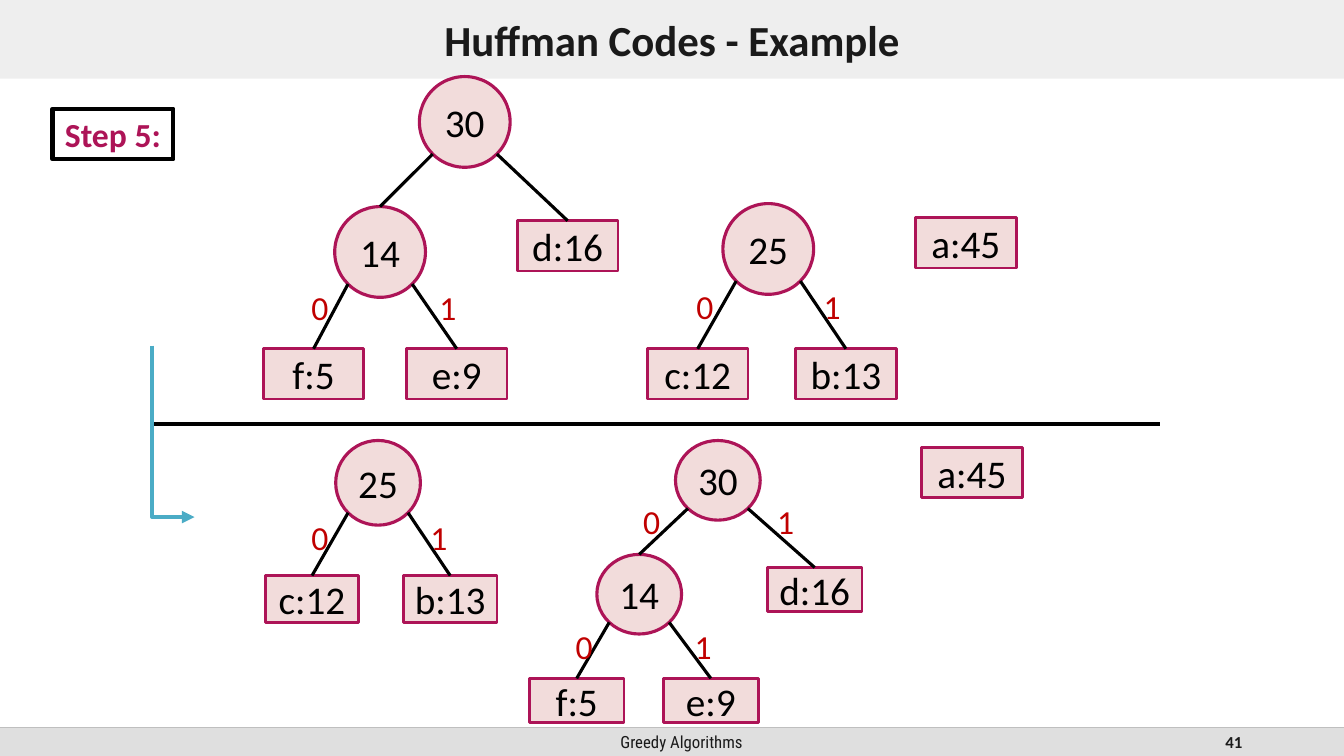
from dataclasses import dataclass
from math import sqrt

from lxml.etree import SubElement
from pptx import Presentation
from pptx.dml.color import RGBColor
from pptx.enum.shapes import MSO_CONNECTOR, MSO_SHAPE
from pptx.enum.text import MSO_ANCHOR, MSO_AUTO_SIZE, PP_ALIGN
from pptx.oxml.ns import qn
from pptx.util import Inches, Pt


@dataclass(frozen=True)
class Theme:
    font: str = "Calibri"
    footer_font: str = "Roboto Condensed"
    ink: str = "1A1A1A"
    black: str = "000000"
    bar: str = "DFDFDF"
    rule: str = "BFBFBF"
    accent: str = "AD1457"
    node: str = "F2DCDB"
    bit: str = "C00000"
    arrow: str = "4BACC6"
    title_size: float = 30.6
    node_size: float = 28
    label_size: float = 24
    footer_size: float = 12


@dataclass
class Node:
    """A tree node; bits holds the x of the 0, the x of the 1 and their y."""
    text: str
    x: float
    y: float
    children: tuple = ()
    bits: tuple = ()


class SlideBuilder:
    def __init__(self, s, theme):
        self.s, self.theme = s, theme

    def set_text(self, sp, text, size, color, bold=False, align=PP_ALIGN.CENTER,
                 anchor=MSO_ANCHOR.MIDDLE, font=None):
        tf = sp.text_frame
        tf.text = text
        tf.word_wrap = True
        tf.auto_size = MSO_AUTO_SIZE.NONE
        tf.vertical_anchor = anchor
        p = tf.paragraphs[0]
        p.alignment = align
        p.font.name = font or self.theme.font
        p.font.size = Pt(size)
        p.font.bold = bold
        p.font.color.rgb = RGBColor.from_string(color)
        return tf

    def title(self, text, box):
        sp = self.s.shapes.title
        sp.left, sp.top, sp.width, sp.height = map(Inches, box)
        sp.fill.solid()
        sp.fill.fore_color.rgb = RGBColor.from_string(self.theme.bar)
        color = sp._element.spPr.find(qn("a:solidFill"))[0]
        SubElement(color, qn("a:alpha")).set("val", "50000")
        self.set_text(sp, text, self.theme.title_size, self.theme.ink, bold=True)

    def text(self, text, box, size, color, **style):
        sp = self.s.shapes.add_textbox(*map(Inches, box))
        self.set_text(sp, text, size, color, **style)

    def shape(self, kind, box, fill=None, line=None, weight=2):
        sp = self.s.shapes.add_shape(kind, *map(Inches, box))
        sp.shadow.inherit = False
        if fill:
            sp.fill.solid()
            sp.fill.fore_color.rgb = RGBColor.from_string(fill)
        else:
            sp.fill.background()
        if line:
            sp.line.color.rgb = RGBColor.from_string(line)
            sp.line.width = Pt(weight)
        else:
            sp.line.fill.background()
        return sp

    def line(self, start, end, color, weight, kind=MSO_CONNECTOR.STRAIGHT):
        c = self.s.shapes.add_connector(kind, *map(Inches, (*start, *end)))
        c.line.color.rgb = RGBColor.from_string(color)
        c.line.width = Pt(weight)
        SubElement(c._element.spPr, qn("a:effectLst"))
        return c

    def down_arrow(self, start, end):
        """Elbow arrow that runs straight down, then right."""
        c = self.line(start, end, self.theme.arrow, 3, MSO_CONNECTOR.ELBOW)
        spPr = c._element.spPr
        geom = spPr.find(qn("a:prstGeom"))
        guides = geom.find(qn("a:avLst"))
        if guides is None:
            guides = SubElement(geom, qn("a:avLst"))
        guide = SubElement(guides, qn("a:gd"))
        guide.set("name", "adj1")
        guide.set("fmla", "val 0")
        SubElement(spPr.find(qn("a:ln")), qn("a:tailEnd")).set("type", "triangle")

    def tree(self, node, circle=(0.9, 0.9), leaf=(1, 0.5)):
        """Draw a node and everything below it."""
        t = self.theme
        w, h = circle if node.children else leaf
        kind = MSO_SHAPE.OVAL if node.children else MSO_SHAPE.RECTANGLE
        sp = self.shape(kind, (node.x, node.y, w, h), t.node, t.accent,
                        2.25 if node.children else 2)
        tf = self.set_text(sp, node.text, t.node_size, t.black)
        tf.margin_left = tf.margin_right = tf.margin_top = tf.margin_bottom = 0
        for child, side in zip(node.children, (-1, 1)):
            child_sp = self.tree(child, circle, leaf)
            start = (node.x + w / 2 * (1 + side / sqrt(2)),
                     node.y + h / 2 * (1 + 1 / sqrt(2)))
            child_w = (circle if child.children else leaf)[0]
            edge = self.line(start, (child.x + child_w / 2, child.y), t.black, 2.25)
            edge.end_connect(child_sp, 0)
        if node.bits:
            *xs, y = node.bits
            for bit, x in zip("01", xs):
                self.text(bit, (x, y, 0.4, 0.5), t.label_size, t.bit,
                          align=PP_ALIGN.LEFT, anchor=MSO_ANCHOR.TOP)
        return sp


def main():
    prs = Presentation()
    prs.slide_width, prs.slide_height = Inches(13.33), Inches(7.5)
    t = Theme()
    b = SlideBuilder(prs.slides.add_slide(prs.slide_layouts[5]), t)

    b.shape(MSO_SHAPE.RECTANGLE, (0, 7.22, 13.33, 0.28), t.bar)
    b.text("Greedy Algorithms", (4.42, 7.22, 4.68, 0.28), t.footer_size, t.ink,
           font=t.footer_font)
    b.text("41", (9.42, 7.22, 3, 0.28), t.footer_size, t.ink, bold=True,
           align=PP_ALIGN.RIGHT)
    b.line((0, 7.22), (13.33, 7.22), t.rule, 1)
    b.title("Huffman Codes - Example", (0, 0, 13.33, 0.78))

    step = b.shape(MSO_SHAPE.RECTANGLE, (0.52, 1.08, 1.2, 0.5), line=t.black, weight=3)
    b.set_text(step, "Step 5:", t.label_size, t.accent, bold=True)

    # Forest before the step
    b.tree(Node("30", 4.16, 0.76, (
        Node("14", 3.32, 2.05, (Node("f:5", 2.61, 3.46), Node("e:9", 4.03, 3.46)),
             (2.99, 4.26, 2.8)),
        Node("d:16", 5.13, 2.19))))
    b.tree(Node("25", 7.17, 2.02, (Node("c:12", 6.42, 3.46), Node("b:13", 7.89, 3.46)),
                (6.81, 8.07, 2.79)))
    b.tree(Node("a:45", 9.08, 2.16))

    # Forest after the step
    b.tree(Node("25", 3.33, 4.37, (Node("c:12", 2.63, 5.71), Node("b:13", 4, 5.71)),
                (2.99, 4.17, 5.08)), circle=(0.84, 0.84), leaf=(0.93, 0.47))
    b.tree(Node("30", 6.7, 4.37, (
        Node("14", 5.92, 5.5, (Node("f:5", 5.25, 6.73), Node("e:9", 6.58, 6.73)),
             (5.61, 6.79, 6.16)),
        Node("d:16", 7.61, 5.63)), (6.28, 7.61, 4.92)),
        circle=(0.84, 0.79), leaf=(0.94, 0.44))
    b.tree(Node("a:45", 9.14, 4.44))

    b.line((1.51, 4.21), (11.51, 4.21), t.black, 3)
    b.down_arrow((1.51, 3.43), (1.93, 5.13))
    prs.save("out.pptx")


if __name__ == "__main__":
    main()
